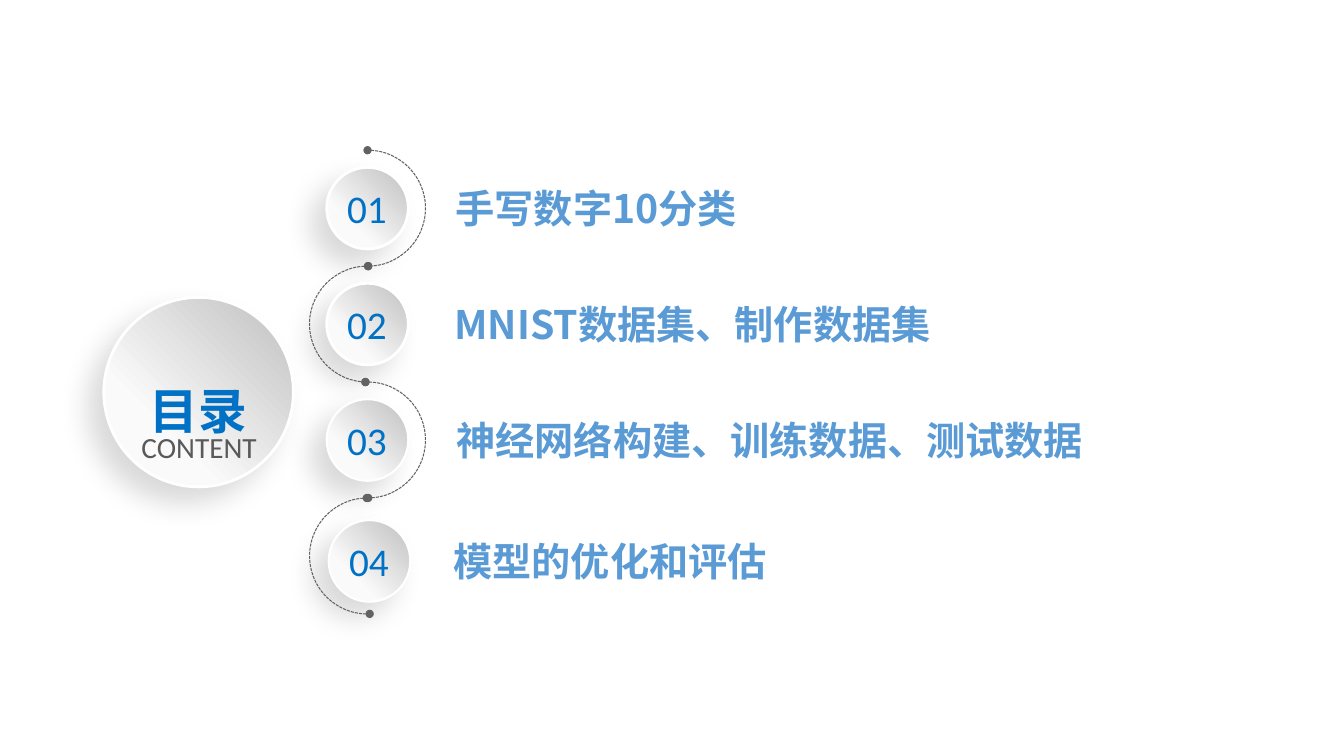
import pptx
import pptx.util
import pptx.dml.color
import pptx.enum.dml
import pptx.enum.shapes
import pptx.enum.text
import pptx.oxml.ns
from dataclasses import dataclass
from lxml import etree
from pptx.util import Inches


@dataclass(frozen=True)
class Theme:
    blue: str = "0071C4"
    topic: str = "5B9BD5"
    gray: str = "595959"
    thread: str = "626262"
    white: str = "FFFFFF"
    shade: str = "BFBFBF"
    light: str = "FAFAFA"
    shadow: str = "000000"
    latin: str = "Calibri"
    cjk: str = "Noto Sans CJK SC"
    title_size: int = 60
    subtitle_size: int = 36
    item_size: int = 28


THEME = Theme()
ARC_SIZE = 1.15
ARC_TOP = 1.49
TOPICS = [
    ("手写数字10分类", 3.24, 1.66, 4.42, 4.21, 2),
    ("MNIST数据集、制作数据集", 3.24, 2.81, 4.41, 6.68, 2),
    ("神经网络构建、训练数据、测试数据", 3.24, 3.96, 4.43, 6.96, 1.5),
    ("模型的优化和评估", 3.26, 5.16, 4.4, 5.36, 1.5),
]
ARCS = [(162, 53.57, False, 0), (161.69, 52.82, True, 0),
        (160.73, 53.57, False, 0), (160.73, 53.57, False, 180)]


def rgb(color):
    return pptx.dml.color.RGBColor.from_string(color)


def add_xml(parent, tag, **attrs):
    child = etree.SubElement(parent, pptx.oxml.ns.qn(tag))
    for name, value in attrs.items():
        child.set(name, str(value))
    return child


def write(sp, text, size, color, latin=THEME.latin, bold=False, center=True,
          wrap=False, spacing=1.0, baseline=None):
    tf = sp.text_frame
    tf.word_wrap = wrap
    tf.auto_size = pptx.enum.text.MSO_AUTO_SIZE.SHAPE_TO_FIT_TEXT
    anchor = pptx.enum.text.MSO_ANCHOR
    tf.vertical_anchor = anchor.MIDDLE if center else anchor.TOP
    p = tf.paragraphs[0]
    align = pptx.enum.text.PP_ALIGN
    p.alignment = align.CENTER if center else align.LEFT
    p.line_spacing = spacing
    r = p.add_run()
    r.text = text
    r.font.size = pptx.util.Pt(size)
    r.font.bold = bold
    r.font.color.rgb = rgb(color)
    r.font.name = latin
    rPr = r.font._element
    add_xml(rPr, "a:ea", typeface=THEME.cjk)
    if baseline:
        rPr.set("baseline", str(baseline * 1000))


def add_text(s, x, y, w, h, text, size, color, **fmt):
    sp = s.shapes.add_textbox(Inches(x), Inches(y), Inches(w), Inches(h))
    write(sp, text, size, color, **fmt)


def add_disc(s, x, y, size, line_width):
    sp = s.shapes.add_shape(pptx.enum.shapes.MSO_SHAPE.OVAL,
                            Inches(x), Inches(y), Inches(size), Inches(size))
    sp.fill.gradient()
    sp.fill.gradient_angle = 225
    stops = ((0, THEME.shade), (0.7, THEME.light))
    for stop, (position, color) in zip(sp.fill.gradient_stops, stops):
        stop.position = position
        stop.color.rgb = rgb(color)
    sp.line.color.rgb = rgb(THEME.white)
    sp.line.width = pptx.util.Pt(line_width)
    sp.shadow.inherit = False
    effects = sp.element.spPr.find(pptx.oxml.ns.qn("a:effectLst"))
    shadow = add_xml(effects, "a:outerShdw", blurRad=pptx.util.Pt(20),
                     dist=pptx.util.Pt(15), dir=135 * 60000,
                     algn="tr", rotWithShape=0)
    color = add_xml(shadow, "a:srgbClr", val=THEME.shadow)
    add_xml(color, "a:alpha", val=15000)


def add_arc(s, y, start, end, flipped, rotation):
    sp = s.shapes.add_shape(pptx.enum.shapes.MSO_SHAPE.ARC, Inches(3.07),
                            Inches(y), Inches(ARC_SIZE), Inches(ARC_SIZE))
    sp.adjustments[0] = start
    sp.adjustments[1] = end
    sp.rotation = rotation
    if flipped:
        sp.element.spPr.xfrm.set("flipH", "1")
    sp.fill.background()
    sp.shadow.inherit = False
    sp.line.color.rgb = rgb(THEME.thread)
    sp.line.width = pptx.util.Pt(0.75)
    sp.line.dash_style = pptx.enum.dml.MSO_LINE.SQUARE_DOT
    ln = sp.element.spPr.find(pptx.oxml.ns.qn("a:ln"))
    for tag in ("a:headEnd", "a:tailEnd"):
        add_xml(ln, tag, type="oval")


def add_title(s):
    sp = s.shapes.title
    sp.left, sp.top = Inches(1.31), Inches(3.28)
    sp.width, sp.height = Inches(1.32), Inches(0.99)
    write(sp, "目录", THEME.title_size, THEME.blue, bold=True,
          spacing=1.5, baseline=12)
    sp.element.getparent().append(sp.element)


def add_topic(s, number, text, disc_x, disc_y, text_x, text_w, line_width):
    add_disc(s, disc_x, disc_y, 0.81, line_width)
    y = disc_y + 0.12
    add_text(s, disc_x + 0.08, y, 0.64, 0.57, f"{number:02d}",
             THEME.item_size, THEME.blue)
    add_text(s, text_x, y, text_w, 0.57, text, THEME.item_size, THEME.topic,
             latin=THEME.cjk, bold=True, center=False, wrap=True)


def main():
    prs = pptx.Presentation()
    prs.slide_width, prs.slide_height = Inches(13.33), Inches(7.5)
    s = prs.slides.add_slide(prs.slide_layouts[5])
    add_disc(s, 1.03, 2.95, 1.88, 2)
    add_title(s)
    add_text(s, 1.06, 3.94, 1.83, 0.63, "CONTENT", THEME.subtitle_size,
             THEME.gray, spacing=1.5, baseline=12)
    for number, topic in enumerate(TOPICS, 1):
        add_topic(s, number, *topic)
    for i, arc in enumerate(ARCS):
        add_arc(s, ARC_TOP + i * ARC_SIZE, *arc)
    prs.save("out.pptx")


if __name__ == "__main__":
    main()
